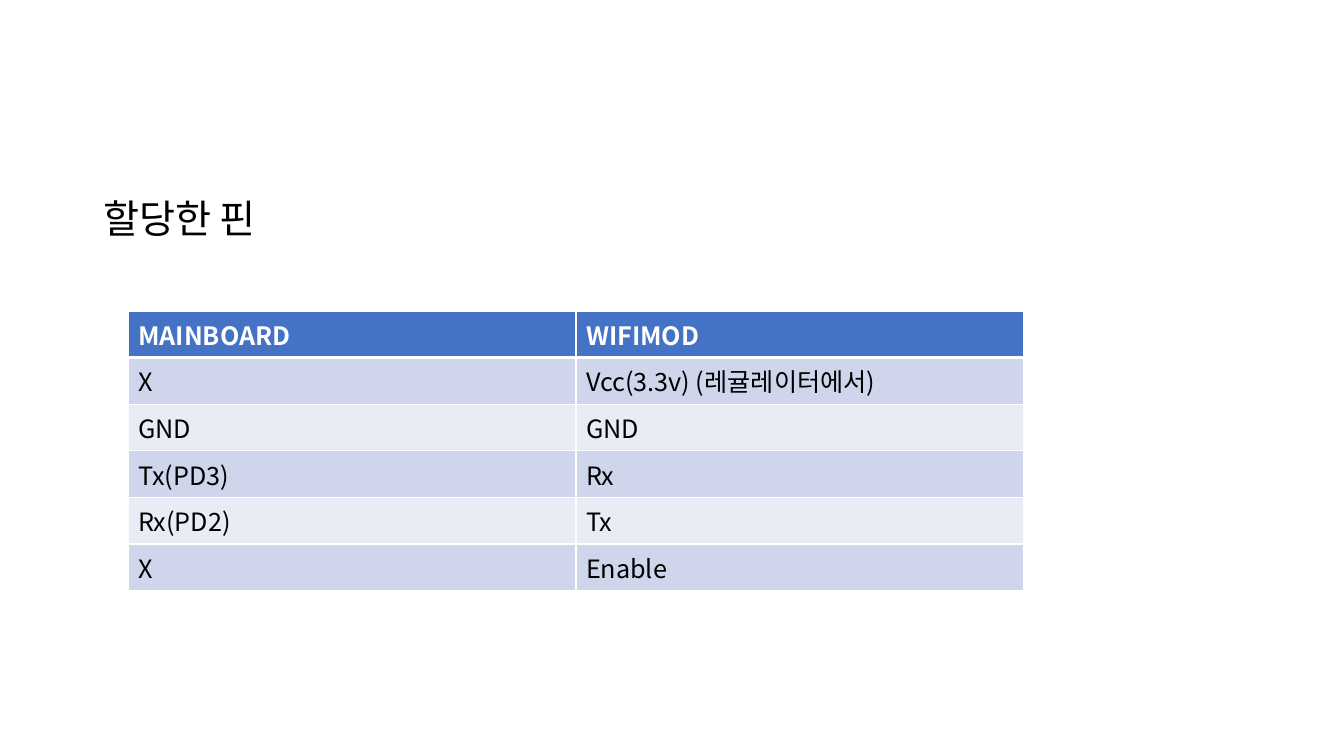
from pptx import Presentation
from pptx.dml.color import RGBColor
from pptx.enum.text import MSO_ANCHOR as Anchor, MSO_AUTO_SIZE as AutoSize, PP_ALIGN as Align
from pptx.oxml.ns import qn
from pptx.util import Emu, Pt
from lxml.etree import SubElement

SCALE = 914400 / 100.8
FONT = "Noto Sans CJK KR"
BLACK = RGBColor(0x00, 0x00, 0x00)
WHITE = RGBColor(0xFF, 0xFF, 0xFF)
HEADER_BLUE = RGBColor(0x44, 0x72, 0xC4)
BAND_DARK = RGBColor(0xCF, 0xD5, 0xEA)
BAND_LIGHT = RGBColor(0xE9, 0xEB, 0xF5)

PINS = [
    ("MAINBOARD", "WIFIMOD"),
    ("X", "Vcc(3.3v) (레귤레이터에서)"),
    ("GND", "GND"),
    ("Tx(PD3)", "Rx"),
    ("Rx(PD2)", "Tx"),
    ("X", "Enable"),
]
COL_WIDTH, ROW_HEIGHT = 448, 46


def px(n):
    """Turn pixels into EMU."""
    return Emu(round(n * SCALE))


def add_run(p, text, size, color, bold=False):
    """Add one formatted run to a paragraph."""
    r = p.add_run()
    r.text = text
    r.font.size = Pt(size)
    r.font.bold = bold
    r.font.name = FONT
    r.font.color.rgb = color
    SubElement(r.font._element, qn("a:ea"), typeface=FONT)


def set_title(s, text, x, y, w, h):
    """Place the title placeholder and write its text."""
    sp = s.shapes.title
    sp.left, sp.top, sp.width, sp.height = map(px, (x, y, w, h))
    tf = sp.text_frame
    tf.word_wrap = True
    tf.auto_size = AutoSize.NONE
    tf.vertical_anchor = Anchor.TOP
    p = tf.paragraphs[0]
    p.alignment = Align.LEFT
    p.line_spacing = 0.9
    p.space_before = Pt(10)
    add_run(p, text, 28, BLACK)


def set_borders(cell, top, bottom):
    """Give a cell white borders; top and bottom widths are in points."""
    tc_pr = cell._tc.get_or_add_tcPr()
    for side, width in (("L", 1), ("R", 1), ("T", top), ("B", bottom)):
        ln = SubElement(tc_pr, qn(f"a:ln{side}"), w=str(Pt(width)))
        fill = SubElement(ln, qn("a:solidFill"))
        SubElement(fill, qn("a:srgbClr"), val=str(WHITE))


def add_pin_table(s, x, y):
    """Add the pin table with a blue header and banded rows."""
    n_rows, n_cols = len(PINS), len(PINS[0])
    table = s.shapes.add_table(n_rows, n_cols, px(x), px(y),
                               px(n_cols * COL_WIDTH), px(n_rows * ROW_HEIGHT)).table
    for col in table.columns:
        col.width = px(COL_WIDTH)
    for i, pins in enumerate(PINS):
        table.rows[i].height = px(ROW_HEIGHT)
        header = i == 0
        band = HEADER_BLUE if header else BAND_DARK if i % 2 else BAND_LIGHT
        for j, pin in enumerate(pins):
            cell = table.cell(i, j)
            set_borders(cell, top=3 if i == 1 else 1, bottom=3 if header else 1)
            cell.fill.solid()
            cell.fill.fore_color.rgb = band
            add_run(cell.text_frame.paragraphs[0], pin, 18,
                    WHITE if header else BLACK, bold=header)


def main():
    """Build the pin assignment slide."""
    prs = Presentation()
    prs.slide_width, prs.slide_height = px(1344), px(756)
    s = prs.slides.add_slide(prs.slide_layouts.get_by_name("Title Only"))
    set_title(s, "할당한 핀", 93, 195, 1159, 480)
    add_pin_table(s, 128, 311)
    prs.save("out.pptx")


main()
